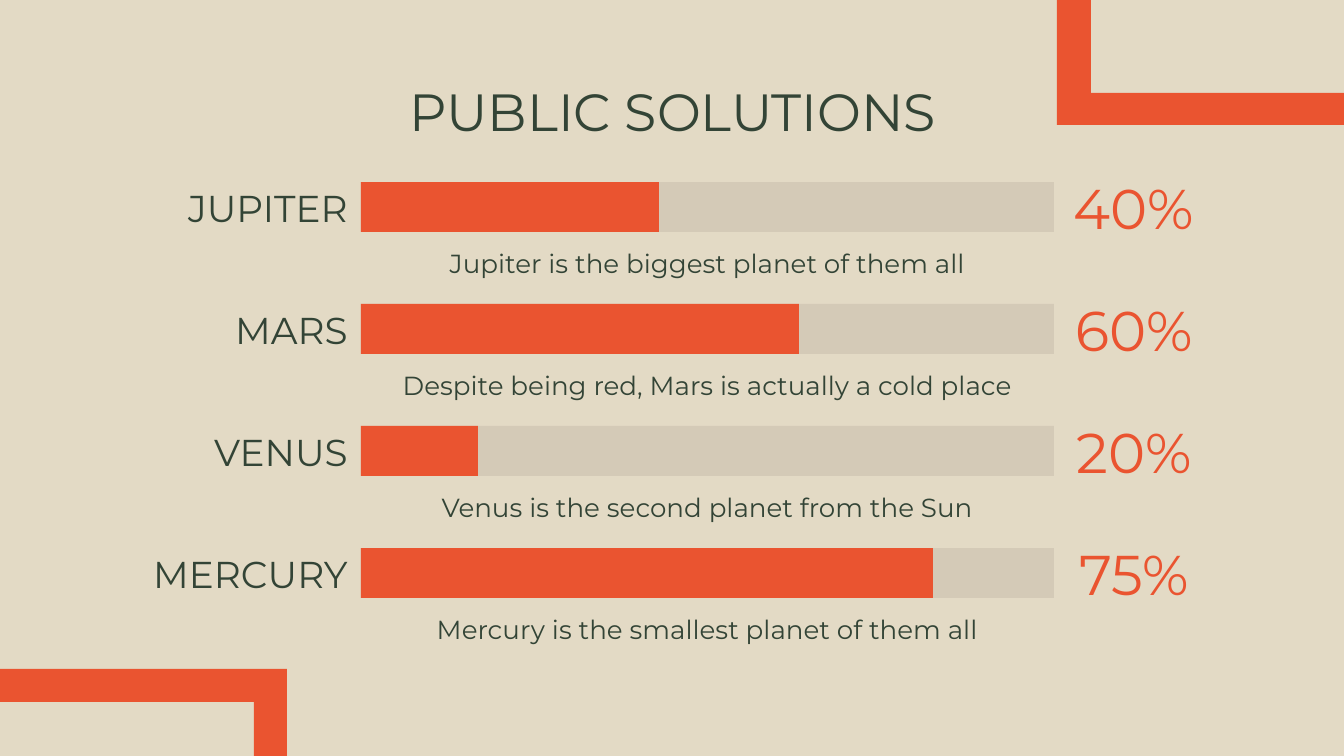
from pptx import Presentation
from pptx import util as u
from pptx.dml.color import RGBColor
from pptx.enum import shapes, text

WIDTH, HEIGHT = 1344, 756
EMU_PER_PX = u.Inches(10) / WIDTH
FONT = "Montserrat"
COLORS = {"sand": "E3DAC5", "orange": "EA5430", "track": "D4CAB7", "green": "334436"}

# Planet, caption, percentage, length of the filled bar
ROWS = [
    ("JUPITER", "Jupiter is the biggest planet of them all", "40%", 298),
    ("MARS", "Despite being red, Mars is actually a cold place", "60%", 438),
    ("VENUS", "Venus is the second planet from the Sun", "20%", 117),
    ("MERCURY", "Mercury is the smallest planet of them all", "75%", 572),
]
FIRST_BAR_TOP, ROW_PITCH = 182, 122
BAR_LEFT, BAR_WIDTH, BAR_HEIGHT = 361, 693, 50

# Visible arms of the two corner frames
CORNERS = [
    [(0, 669), (287, 669), (287, HEIGHT), (254, HEIGHT), (254, 702), (0, 702)],
    [(1057, 0), (1091, 0), (1091, 93), (WIDTH, 93), (WIDTH, 125), (1057, 125)],
]


def px(length):
    return u.Emu(round(length * EMU_PER_PX))


def color(name):
    return RGBColor.from_string(COLORS[name])


def paint(shape, fill):
    shape.shadow.inherit = False
    shape.fill.solid()
    shape.fill.fore_color.rgb = color(fill)
    shape.line.fill.background()


def add_corner(slide, points):
    corners = [(px(x), px(y)) for x, y in points]
    builder = slide.shapes.build_freeform(*corners[0])
    builder.add_line_segments(corners[1:], close=True)
    paint(builder.convert_to_shape(), "orange")


def add_bar(slide, top, width, fill):
    shape = slide.shapes.add_shape(
        shapes.MSO_SHAPE.RECTANGLE, px(BAR_LEFT), px(top), px(width), px(BAR_HEIGHT))
    paint(shape, fill)


def add_text(slide, content, box, *, size, fill="green",
             align=text.PP_ALIGN.CENTER, anchor=text.MSO_ANCHOR.TOP):
    frame = slide.shapes.add_textbox(*map(px, box)).text_frame
    frame.word_wrap = True
    frame.vertical_anchor = anchor
    frame.margin_left = frame.margin_right = u.Inches(0.1)
    frame.margin_top = frame.margin_bottom = u.Inches(0.1)
    paragraph = frame.paragraphs[0]
    paragraph.alignment = align
    run = paragraph.add_run()
    run.text = content
    run.font.name = FONT
    run.font.size = u.Pt(size)
    run.font.color.rgb = color(fill)


def add_row(slide, top, planet, caption, percentage, filled):
    middle = text.MSO_ANCHOR.MIDDLE
    add_text(slide, planet, (130, top - 4, 231, 59), size=20,
             align=text.PP_ALIGN.RIGHT, anchor=middle)
    add_text(slide, caption, (BAR_LEFT, top + 52, BAR_WIDTH, 51), size=14)
    add_text(slide, percentage, (BAR_LEFT + BAR_WIDTH, top - 4, 160, 59), size=30,
             fill="orange", anchor=middle)
    add_bar(slide, top, BAR_WIDTH, "track")
    add_bar(slide, top, filled, "orange")


def main():
    presentation = Presentation()
    presentation.slide_width, presentation.slide_height = px(WIDTH), px(HEIGHT)
    slide = presentation.slides.add_slide(presentation.slide_layouts[6])

    # Background and corner frames
    slide.background.fill.solid()
    slide.background.fill.fore_color.rgb = color("sand")
    for points in CORNERS:
        add_corner(slide, points)

    # Title and progress bars
    add_text(slide, "PUBLIC SOLUTIONS", (106, 66, 1133, 85), size=28)
    for index, row in enumerate(ROWS):
        add_row(slide, FIRST_BAR_TOP + index * ROW_PITCH, *row)

    presentation.save("out.pptx")


if __name__ == "__main__":
    main()
